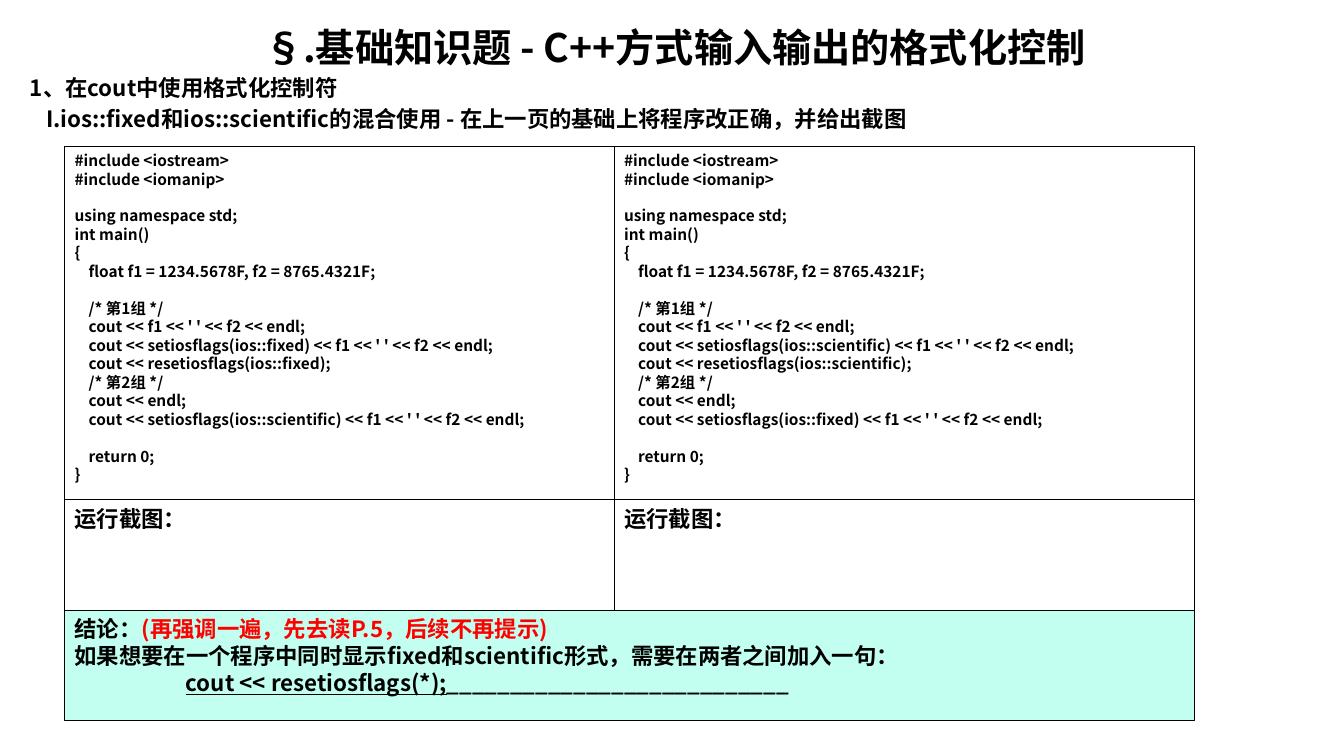
"""Build the slide on mixing ios::fixed and ios::scientific in C++ output."""
from lxml import etree
from pptx import Presentation
from pptx.dml.color import RGBColor
from pptx.enum.shapes import MSO_SHAPE
from pptx.enum.text import MSO_ANCHOR, PP_ALIGN
from pptx.oxml.ns import qn
from pptx.util import Pt

RECTANGLE = MSO_SHAPE.RECTANGLE
TOP = MSO_ANCHOR.TOP
LEFT, CENTER = PP_ALIGN.LEFT, PP_ALIGN.CENTER
FONT = "Noto Sans CJK SC"
BLACK, RED, MINT = "000000", "FF0000", "C2FFF0"

CODE = """#include <iostream>
#include <iomanip>

using namespace std;
int main()
{
    float f1 = 1234.5678F, f2 = 8765.4321F;

    /* 第1组 */
    cout << f1 << ' ' << f2 << endl;
    cout << setiosflags(ios::FIRST) << f1 << ' ' << f2 << endl;
    cout << resetiosflags(ios::FIRST);
    /* 第2组 */
    cout << endl;
    cout << setiosflags(ios::SECOND) << f1 << ' ' << f2 << endl;

    return 0;
}"""


def color(hex_string):
    return RGBColor.from_string(hex_string)


def write(shape, lines, size, align=LEFT):
    frame = shape.text_frame
    frame.word_wrap = True
    frame.vertical_anchor = TOP
    frame.text = "\n".join(lines)
    for paragraph in frame.paragraphs:
        paragraph.alignment = align
        paragraph.space_before = Pt(0)
        font = paragraph.font
        font.size, font.bold, font.name = Pt(size), True, FONT
        font.color.rgb = color(BLACK)
        latin = font._element.find(qn("a:latin"))
        latin.addnext(latin.makeelement(qn("a:ea"), {"typeface": FONT}))
    return frame.paragraphs


prs = Presentation()
prs.slide_width, prs.slide_height = Pt(960), Pt(540)
slide = prs.slides.add_slide(prs.slide_layouts[0])

title, question = slide.placeholders
for placeholder, top, height in ((title, 13, 40), (question, 49, 52)):
    placeholder.left, placeholder.top = Pt(14.2), Pt(top)
    placeholder.width, placeholder.height = Pt(935.6), Pt(height)
write(title, ["§.基础知识题 - C++方式输入输出的格式化控制"], 28, CENTER)
section, task = write(question, [
    "1、在cout中使用格式化控制符",
    "I.ios::fixed和ios::scientific的混合使用 - 在上一页的基础上将程序改正确，并给出截图",
], 16)
task.space_before = Pt(3.2)
task._p.get_or_add_pPr().set("marL", str(Pt(11.5)))

left, middle, right = 46.2, 438.7, 853.2
code_top, result_top, conclusion_top, bottom = 104.4, 357, 435.8, 514.4
columns = ((left, middle, "fixed", "scientific"), (middle, right, "scientific", "fixed"))
cells = []
for start, end, first, second in columns:
    program = CODE.replace("FIRST", first).replace("SECOND", second)
    cells.append((start, end, code_top, result_top, program.split("\n"), 11))
    cells.append((start, end, result_top, conclusion_top, ["运行截图："], 16))
cells.append((left, right, conclusion_top, bottom, [
    "结论：",
    "如果想要在一个程序中同时显示fixed和scientific形式，需要在两者之间加入一句：",
    "",
], 16))

for start, end, top, base, lines, size in cells:
    cell = slide.shapes.add_shape(RECTANGLE, Pt(start), Pt(top), Pt(end - start), Pt(base - top))
    cell.shadow.inherit = False
    cell.fill.background()
    cell.line.color.rgb = color(BLACK)
    cell.line.width = Pt(0.75)
    paragraphs = write(cell, lines, size)

cell.fill.solid()
cell.fill.fore_color.rgb = color(MINT)
heading, explanation, answer = paragraphs
reminder = heading.add_run()
reminder.text = "(再强调一遍，先去读P.5，后续不再提示)"
reminder.font.color.rgb = color(RED)

tabs = etree.Element(qn("a:tabLst"))
etree.SubElement(tabs, qn("a:tab"), pos=str(Pt(79.5)), algn="l")
answer._p.pPr.find(qn("a:defRPr")).addprevious(tabs)
statement = answer.add_run()
statement.text = "\tcout << resetiosflags(*);"
statement.font.underline = True
answer.add_run().text = "_" * 27

prs.save("out.pptx")
